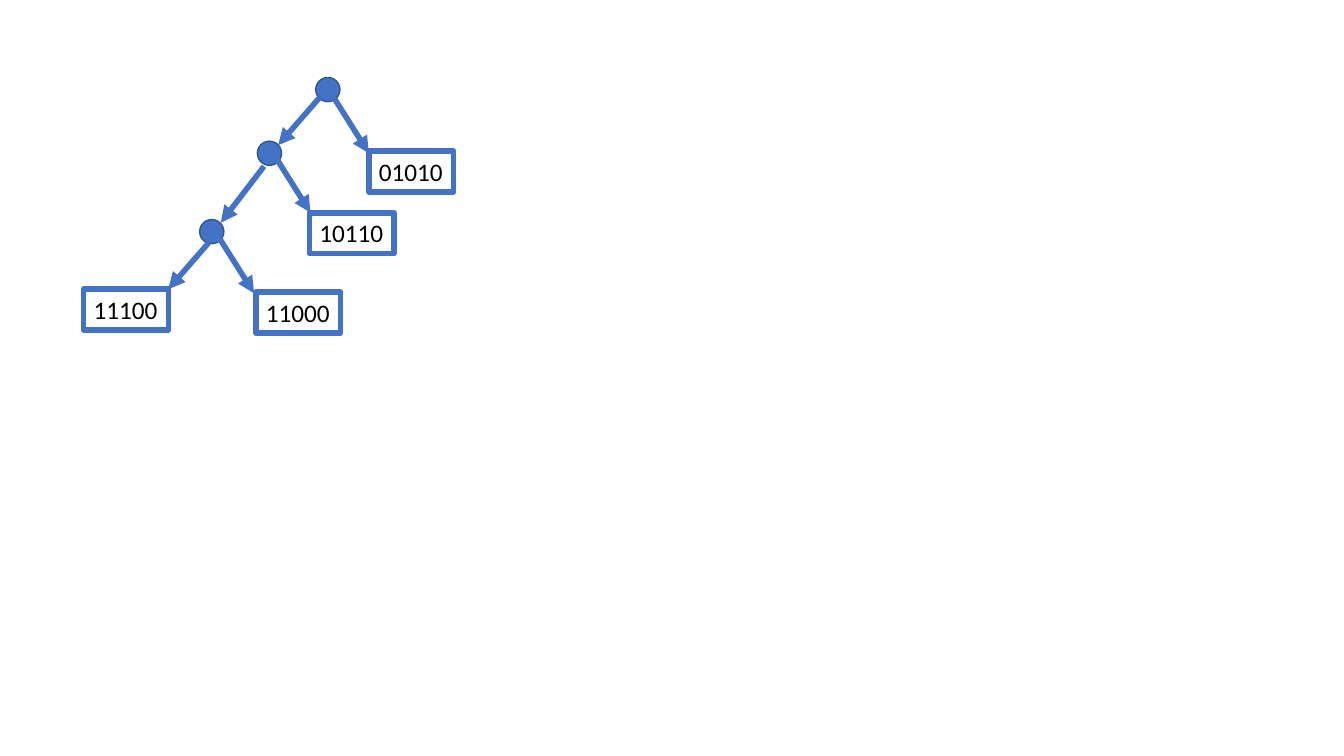
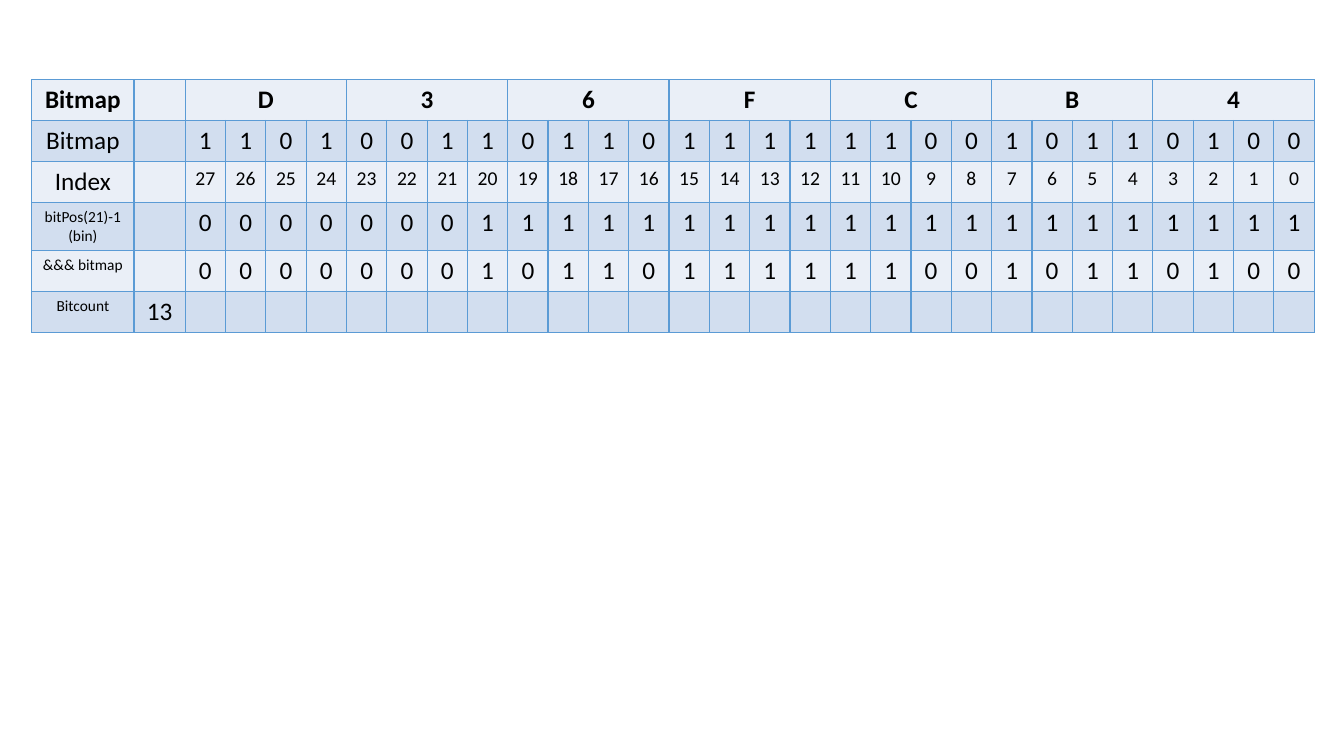
from dataclasses import dataclass

import lxml.etree
import pptx
import pptx.dml.color
import pptx.enum.shapes
import pptx.enum.text
import pptx.oxml.ns
import pptx.util

Pt = pptx.util.Pt
RGB = pptx.dml.color.RGBColor.from_string
qn = pptx.oxml.ns.qn


@dataclass(frozen=True)
class Theme:
    font: str = "Calibri"
    text: str = "000000"
    accent: str = "4472C4"
    node_edge: str = "325491"
    grid: str = "5B9BD5"
    bands: tuple = ("EAEFF7", "D2DEEF")
    body: float = 18
    index: float = 14
    small: float = 11
    thin: float = 1
    thick: float = 4


THEME = Theme()

# Tree, in points
NODE_SIZE = 17.3
NODE_CENTRES = [(234.2, 64), (192.5, 109.5), (151.3, 165.5)]
LEAF_SIZE = (60.5, 29.2)
LEAVES = [("11000", 182.9, 208.8), ("10110", 221, 152),
          ("01010", 263.5, 108), ("11100", 59.8, 206.6)]
LEFT_ARROWS = [((228.2, 69.8), (198.7, 103.7)),
               ((188.6, 118.8), (157.7, 159.1)),
               ((149, 173.5), (120.2, 206.6))]
RIGHT_STARTS = [(239, 70.6), (197.3, 113), (157, 170.6)]
RIGHT_STEP = (24.5, 38.9)

# Bitmap table
BITMAP = 0xD36FCB4
BITS = 28
NIBBLE = 4
POSITION = 21
TABLE_AT = (22.7, 56.9)
LABEL_WIDTH, COUNT_WIDTH, BIT_WIDTH = 73, 36.6, 28.8
ROW_HEIGHT = 29.2


def style_paragraph(p, size, bold=False):
    p.font.name = THEME.font
    p.font.size = Pt(size)
    p.font.bold = bold
    p.font.color.rgb = RGB(THEME.text)


def add_node(s, centre):
    left, top = (c - NODE_SIZE / 2 for c in centre)
    sp = s.shapes.add_shape(pptx.enum.shapes.MSO_SHAPE.OVAL, Pt(left), Pt(top),
                            Pt(NODE_SIZE), Pt(NODE_SIZE))
    sp.shadow.inherit = False
    sp.fill.solid()
    sp.fill.fore_color.rgb = RGB(THEME.accent)
    sp.line.color.rgb = RGB(THEME.node_edge)
    sp.line.width = Pt(THEME.thin)


def add_leaf(s, text, left, top):
    sp = s.shapes.add_textbox(Pt(left), Pt(top), *map(Pt, LEAF_SIZE))
    sp.line.color.rgb = RGB(THEME.accent)
    sp.line.width = Pt(THEME.thick)
    tf = sp.text_frame
    tf.word_wrap = False
    tf.auto_size = pptx.enum.text.MSO_AUTO_SIZE.SHAPE_TO_FIT_TEXT
    tf.text = text
    style_paragraph(tf.paragraphs[0], THEME.body)


def add_arrow(s, start, end):
    arrow = s.shapes.add_connector(pptx.enum.shapes.MSO_CONNECTOR.STRAIGHT,
                                   *map(Pt, start + end))
    arrow.line.color.rgb = RGB(THEME.accent)
    arrow.line.width = Pt(THEME.thick)
    sp_pr = arrow._element.spPr
    lxml.etree.SubElement(sp_pr.find(qn("a:ln")), qn("a:tailEnd"), type="triangle")
    lxml.etree.SubElement(sp_pr, qn("a:effectLst"))


def style_cell(cell, fill):
    # Borders must precede the fill in the cell properties
    tc_pr = cell._tc.get_or_add_tcPr()
    for side in ("lnL", "lnR", "lnT", "lnB"):
        ln = lxml.etree.SubElement(tc_pr, qn(f"a:{side}"), w=str(int(Pt(THEME.thin))))
        solid = lxml.etree.SubElement(ln, qn("a:solidFill"))
        lxml.etree.SubElement(solid, qn("a:srgbClr"), val=THEME.grid)
    cell.fill.solid()
    cell.fill.fore_color.rgb = RGB(fill)


def write_cell(cell, text, size, bold=False):
    cell.text_frame.text = text
    for p in cell.text_frame.paragraphs:
        p.alignment = pptx.enum.text.PP_ALIGN.CENTER
        style_paragraph(p, size, bold)


def bitmap_rows():
    """Return label, label size, count, bit texts and bit size for each row."""
    mask = (1 << POSITION) - 1
    masked = BITMAP & mask
    body, small = THEME.body, THEME.small

    def bits(value):
        return f"{value:0{BITS}b}"

    return [
        ("Bitmap", body, "", bits(BITMAP), body),
        ("Index", body, "", [str(i) for i in reversed(range(BITS))], THEME.index),
        (f"bitPos({POSITION})-1\n(bin)", small, "", bits(mask), body),
        ("&&& bitmap", small, "", bits(masked), body),
        ("Bitcount", small, str(bits(masked).count("1")), "", body),
    ]


def add_bitmap_table(s):
    rows = bitmap_rows()
    widths = [LABEL_WIDTH, COUNT_WIDTH] + [BIT_WIDTH] * BITS
    row_count = len(rows) + 1
    table = s.shapes.add_table(row_count, len(widths), *map(Pt, TABLE_AT),
                               Pt(sum(widths)), Pt(ROW_HEIGHT * row_count)).table
    table.first_row = table.horz_banding = False
    for column, width in zip(table.columns, widths):
        column.width = Pt(width)
    for i, row in enumerate(table.rows):
        row.height = Pt(ROW_HEIGHT)
        for cell in row.cells:
            style_cell(cell, THEME.bands[i % 2])

    # Header: one hexadecimal digit over each group of four bits
    write_cell(table.cell(0, 0), "Bitmap", THEME.body, bold=True)
    for i, digit in enumerate(f"{BITMAP:X}"):
        first = 2 + i * NIBBLE
        table.cell(0, first).merge(table.cell(0, first + NIBBLE - 1))
        write_cell(table.cell(0, first), digit, THEME.body, bold=True)

    # Bit rows
    for i, (label, label_size, count, texts, size) in enumerate(rows, 1):
        write_cell(table.cell(i, 0), label, label_size)
        if count:
            write_cell(table.cell(i, 1), count, THEME.body)
        for j, text in enumerate(texts, 2):
            write_cell(table.cell(i, j), text, size)


def add_tree(s):
    for centre in NODE_CENTRES:
        add_node(s, centre)
    for leaf in LEAVES:
        add_leaf(s, *leaf)
    for start, end in LEFT_ARROWS:
        add_arrow(s, start, end)
    for x, y in RIGHT_STARTS:
        add_arrow(s, (x, y), (x + RIGHT_STEP[0], y + RIGHT_STEP[1]))


def main():
    prs = pptx.Presentation()
    prs.slide_width, prs.slide_height = Pt(960), Pt(540)
    blank = prs.slide_layouts[6]
    for build in (add_tree, add_bitmap_table):
        build(prs.slides.add_slide(blank))
    prs.save("out.pptx")


if __name__ == "__main__":
    main()
